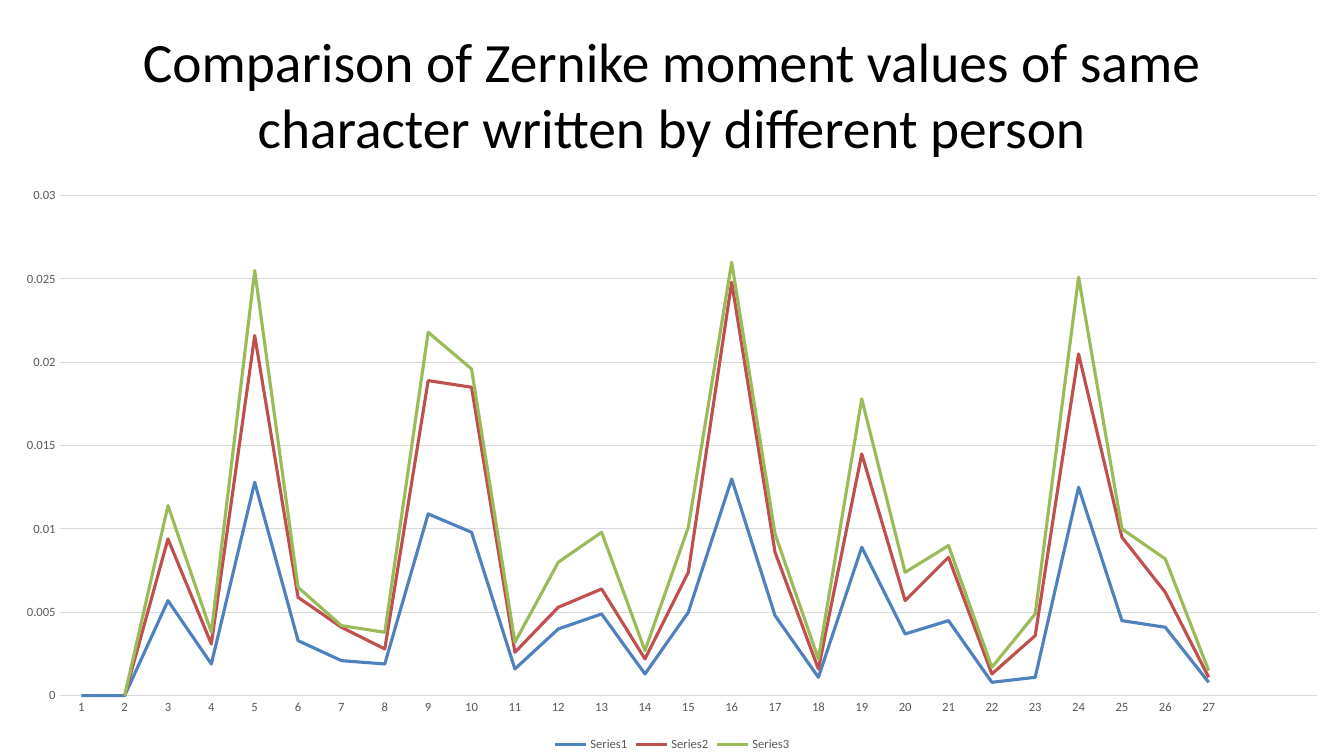
from pptx import Presentation
from pptx.chart.data import CategoryChartData
from pptx.dml.color import RGBColor
from pptx.enum.chart import (XL_CHART_TYPE, XL_LEGEND_POSITION, XL_MARKER_STYLE,
                             XL_TICK_MARK)
from pptx.enum.text import MSO_ANCHOR, PP_ALIGN
from pptx.util import Cm, Pt

LINE_STACKED = XL_CHART_TYPE.LINE_STACKED
LEGEND_BOTTOM = XL_LEGEND_POSITION.BOTTOM
NO_MARKER = XL_MARKER_STYLE.NONE
NO_TICK = XL_TICK_MARK.NONE
MIDDLE = MSO_ANCHOR.MIDDLE
CENTER = PP_ALIGN.CENTER

FONT = "Calibri"
GRID = "D9D9D9"
TITLE_BOX = (Cm(1.69), Cm(0.76), Cm(30.48), Cm(3.18))
CHART_BOX = (Cm(0), Cm(4.45), Cm(33.87), Cm(14.6))
TITLE = ("Comparison of Zernike moment values of same character "
         "written by different person")

# The last two slots on the axis have neither label nor value.
SLOTS = 29
LABELS = [str(number) if number <= 27 else "" for number in range(1, SLOTS + 1)]
SERIES = [
    ("Series1", "4F81BD",
     [0, 0, 0.0057, 0.0019, 0.0128, 0.0033, 0.0021, 0.0019, 0.0109,
      0.0098, 0.0016, 0.004, 0.0049, 0.0013, 0.005, 0.013, 0.0048, 0.0011,
      0.0089, 0.0037, 0.0045, 0.0008, 0.0011, 0.0125, 0.0045, 0.0041, 0.0008]),
    ("Series2", "C0504D",
     [None, 0, 0.0037, 0.0012, 0.0088, 0.0026, 0.002, 0.0009, 0.008,
      0.0087, 0.001, 0.0013, 0.0015, 0.0009, 0.0024, 0.0118, 0.0038, 0.0005,
      0.0056, 0.002, 0.0038, 0.0005, 0.0025, 0.008, 0.005, 0.0021, 0.0003]),
    ("Series3", "9BBB59",
     [None, 0, 0.002, 0.0007, 0.0039, 0.0006, 0.0001, 0.001, 0.0029,
      0.0011, 0.0006, 0.0027, 0.0034, 0.0005, 0.0027, 0.0012, 0.0011, 0.0006,
      0.0033, 0.0017, 0.0007, 0.0004, 0.0013, 0.0046, 0.0005, 0.002, 0.0004]),
]


def color(hex_string):
    return RGBColor.from_string(hex_string)


def set_values(target, values):
    for name, value in values.items():
        setattr(target, name, value)


def style_font(font, size, hex_string):
    set_values(font, {"name": FONT, "size": Pt(size), "bold": False})
    font.color.rgb = color(hex_string)


def style_line(line, hex_string, width):
    line.color.rgb = color(hex_string)
    line.width = Pt(width)


def add_title(page, box):
    frame = page.shapes.add_textbox(*box).text_frame
    set_values(frame, {"word_wrap": True, "vertical_anchor": MIDDLE})
    para = frame.paragraphs[0]
    para.alignment = CENTER
    span = para.add_run()
    span.text = TITLE
    style_font(span.font, 39.6, "000000")


def style_axes(chart):
    for axis in (chart.category_axis, chart.value_axis):
        set_values(axis, {"major_tick_mark": NO_TICK, "minor_tick_mark": NO_TICK})
        style_font(axis.tick_labels.font, 9, "595959")
    style_line(chart.category_axis.format.line, GRID, 0.75)
    values = chart.value_axis
    set_values(values, {"minimum_scale": 0, "maximum_scale": 0.03,
                        "major_unit": 0.005, "has_major_gridlines": True})
    values.format.line.fill.background()
    style_line(values.major_gridlines.format.line, GRID, 0.75)
    set_values(values.tick_labels, {"number_format": "General",
                                    "number_format_is_linked": False})


def add_moment_chart(page, box):
    data = CategoryChartData()
    data.categories = LABELS
    for name, _, values in SERIES:
        data.add_series(name, values + [None] * (SLOTS - len(values)))
    chart = page.shapes.add_chart(LINE_STACKED, *box, data).chart
    set_values(chart, {"has_title": False, "has_legend": True})
    style_font(chart.font, 10, "000000")
    set_values(chart.legend, {"position": LEGEND_BOTTOM, "include_in_layout": False})
    style_font(chart.legend.font, 9, "595959")
    style_axes(chart)
    plot = chart.plots[0]
    plot.vary_by_categories = False
    for series, (_, hex_string, _) in zip(plot.series, SERIES):
        series.smooth = False
        series.marker.style = NO_MARKER
        style_line(series.format.line, hex_string, 2.25)


def main():
    deck = Presentation()
    set_values(deck, {"slide_width": Cm(33.87), "slide_height": Cm(19.05)})
    page = deck.slides.add_slide(deck.slide_layouts[6])
    add_title(page, TITLE_BOX)
    add_moment_chart(page, CHART_BOX)
    deck.save("out.pptx")


if __name__ == "__main__":
    main()
